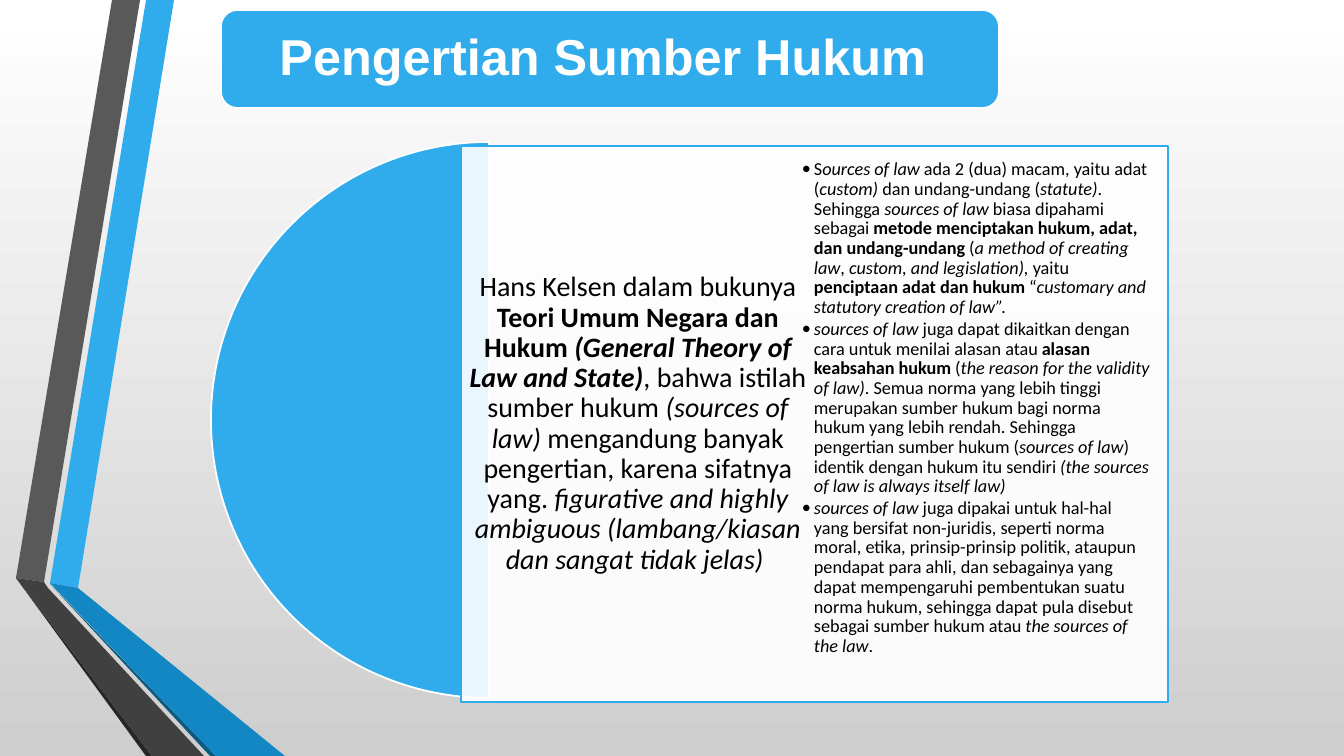
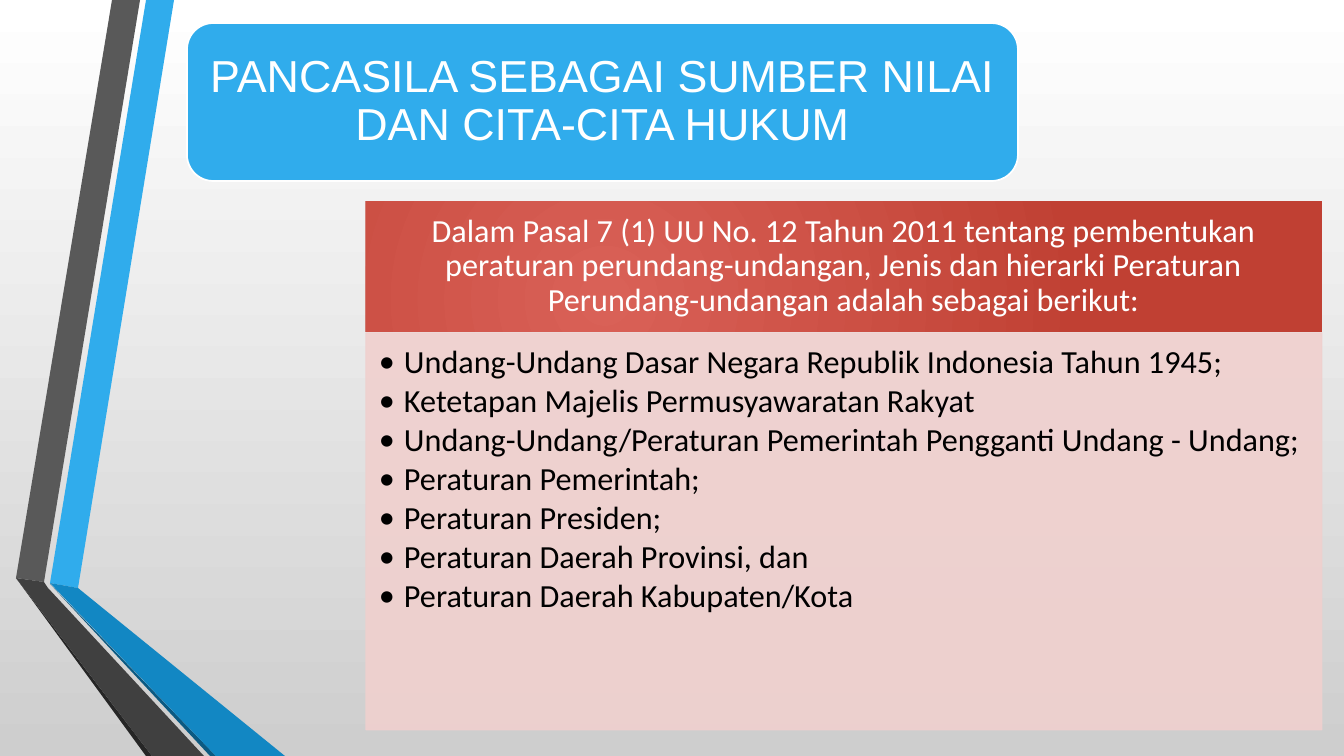
from lxml import etree
from pptx import Presentation
from pptx.dml.color import RGBColor
from pptx.enum.shapes import MSO_SHAPE
from pptx.enum.text import MSO_ANCHOR, PP_ALIGN
from pptx.oxml.ns import qn
from pptx.util import Pt

WIDTH, HEIGHT = 1344, 756
SCALE = 12192000 / WIDTH

WHITE = RGBColor(0xFF, 0xFF, 0xFF)
BLACK = RGBColor(0x00, 0x00, 0x00)
SILVER = RGBColor(0xCE, 0xCE, 0xCE)
BLUE = RGBColor(0x30, 0xAC, 0xEC)
DEEP_BLUE = RGBColor(0x12, 0x87, 0xC3)
NAVY = RGBColor(0x0C, 0x5A, 0x82)
GRAY = RGBColor(0x59, 0x59, 0x59)
DARK_GRAY = RGBColor(0x40, 0x40, 0x40)
CHARCOAL = RGBColor(0x26, 0x26, 0x26)
LIGHT_RED = RGBColor(0xD9, 0x61, 0x57)
RED = RGBColor(0xC0, 0x40, 0x33)
PINK = RGBColor(0xF0, 0xD0, 0xCE)

RECTANGLE = MSO_SHAPE.RECTANGLE
ROUNDED = MSO_SHAPE.ROUNDED_RECTANGLE
PIE = MSO_SHAPE.PIE
CENTER, LEFT = PP_ALIGN.CENTER, PP_ALIGN.LEFT
TOP, MIDDLE = MSO_ANCHOR.TOP, MSO_ANCHOR.MIDDLE

TITLE_FONT, BODY_FONT = "Arial", "Calibri"

RIBBONS = [
    (BLUE, [(50, 583), (78, 588), (174, 0), (146, 0)]),
    (GRAY, [(140, 0), (112, 0), (16, 578), (44, 582)]),
    (CHARCOAL, [(16, 578), (146, 756), (152, 756)]),
    (NAVY, [(50, 584), (210, 756), (216, 756)]),
    (DEEP_BLUE, [(50, 583), (216, 756), (285, 756), (78, 588)]),
    (DARK_GRAY, [(204, 756), (48, 588), (44, 582), (16, 578), (152, 756)]),
]

# A paragraph is a list of (text, style) runs; style holds "b" and/or "i".
KELSEN = [
    ("Hans Kelsen dalam bukunya ", ""),
    ("Teori Umum Negara dan Hukum ", "b"),
    ("(General Theory of Law and State)", "bi"),
    (", bahwa istilah sumber hukum ", ""),
    ("(sources of law)", "i"),
    (" mengandung banyak pengertian, karena sifatnya yang.", ""),
    (" figurative and highly ambiguous (lambang/kiasan dan sangat tidak jelas) ", "i"),
]
MEANINGS = [
    [
        ("S", ""),
        ("ources of law ", "i"),
        ("ada 2 (dua) macam, yaitu adat (", ""),
        ("custom)", "i"),
        (" dan undang-undang (", ""),
        ("statute)", "i"),
        (". Sehingga ", ""),
        ("sources of law ", "i"),
        ("biasa dipahami sebagai ", ""),
        ("metode menciptakan hukum, adat, dan undang-undang", "b"),
        (" (", ""),
        ("a method of creating law", "i"),
        (", ", ""),
        ("custom, and legislation),", "i"),
        (" yaitu ", ""),
        ("penciptaan adat dan hukum", "b"),
        (" “", ""),
        ("customary and statutory creation of law”.", "i"),
    ],
    [
        ("sources of law", "i"),
        (" juga dapat dikaitkan dengan cara untuk menilai alasan atau ", ""),
        ("alasan keabsahan hukum", "b"),
        (" (", ""),
        ("the reason for the validity of law)", "i"),
        (". Semua norma yang lebih tinggi merupakan sumber hukum bagi norma "
         "hukum yang lebih rendah. Sehingga pengertian sumber hukum (", ""),
        ("sources of law", "i"),
        (") identik dengan hukum itu sendiri ", ""),
        ("(the sources of law is always itself law)", "i"),
    ],
    [
        ("sources of law", "i"),
        (" juga dipakai untuk hal-hal yang bersifat non-juridis, seperti norma "
         "moral, etika, prinsip-prinsip politik, ataupun pendapat para ahli, dan "
         "sebagainya yang dapat mempengaruhi pembentukan suatu norma hukum, "
         "sehingga dapat pula disebut sebagai sumber hukum atau ", ""),
        ("the sources of the law", "i"),
        (".", ""),
    ],
]
HIERARCHY_INTRO = (
    "Dalam Pasal 7 (1) UU No. 12 Tahun 2011 tentang pembentukan peraturan "
    "perundang-undangan, Jenis dan hierarki Peraturan Perundang-undangan "
    "adalah sebagai berikut:"
)
HIERARCHY = [
    "Undang-Undang Dasar Negara Republik Indonesia Tahun 1945;",
    "Ketetapan Majelis Permusyawaratan Rakyat",
    "Undang-Undang/Peraturan Pemerintah Pengganti Undang - Undang;",
    "Peraturan Pemerintah;",
    "Peraturan Presiden;",
    "Peraturan Daerah Provinsi, dan",
    "Peraturan Daerah Kabupaten/Kota",
]


def px(value):
    return round(value * SCALE)


def add_box(slide, preset, box, fill, line=None, line_width=1.25):
    shape = slide.shapes.add_shape(preset, *map(px, box))
    shape.shadow.inherit = False
    shape.fill.solid()
    shape.fill.fore_color.rgb = fill
    if line is None:
        shape.line.fill.background()
    else:
        shape.line.color.rgb = line
        shape.line.width = Pt(line_width)
    return shape


def make_translucent(element, percent=90):
    """Give every colour inside the XML element the same opacity."""
    for color in element.iter(qn("a:srgbClr")):
        etree.SubElement(color, qn("a:alpha"), val=str(percent * 1000))


def set_gradient(fill, start, end):
    fill.gradient()
    for stop, color in zip(fill.gradient_stops, (start, end)):
        stop.color.rgb = color


def make_radial(shape):
    """Turn the linear gradient into a circular one, centred low."""
    gradient = shape._element.spPr.find(qn("a:gradFill"))
    gradient.remove(gradient.find(qn("a:lin")))
    circle = etree.SubElement(gradient, qn("a:path"), path="circle")
    etree.SubElement(circle, qn("a:fillToRect"),
                     l="50000", t="100000", r="100000", b="50000")


def write(shape, paragraphs, size, color=BLACK, font=BODY_FONT, align=CENTER,
          anchor=MIDDLE, margins=(8, 8, 8, 8), hanging=0, space_after=0):
    """Fill a shape with paragraphs; a hanging indent in px adds bullets."""
    frame = shape.text_frame
    frame.word_wrap = True
    frame.vertical_anchor = anchor
    (frame.margin_left, frame.margin_top,
     frame.margin_right, frame.margin_bottom) = map(px, margins)
    for index, runs in enumerate(paragraphs):
        paragraph = frame.add_paragraph() if index else frame.paragraphs[0]
        if hanging:
            properties = paragraph._p.get_or_add_pPr()
            properties.set("marL", str(px(hanging)))
            properties.set("indent", str(-px(hanging)))
            bullet_font = etree.SubElement(properties, qn("a:buFont"))
            bullet_font.set("typeface", font)
            etree.SubElement(properties, qn("a:buChar"), char="•")
        paragraph.alignment = align
        paragraph.line_spacing = 0.9
        paragraph.space_after = Pt(space_after)
        for text, style in runs:
            run = paragraph.add_run()
            run.text = text
            run.font.name = font
            run.font.size = Pt(size)
            run.font.color.rgb = color
            run.font.bold = "b" in style
            run.font.italic = "i" in style


def add_slide(presentation, title, title_box, title_size, title_style=""):
    """Add a slide with the shared background, ribbons and title banner."""
    slide = presentation.slides.add_slide(presentation.slide_layouts[6])
    background = slide.background.fill
    set_gradient(background, WHITE, SILVER)
    background.gradient_angle = 270
    for color, points in RIBBONS:
        builder = slide.shapes.build_freeform(*points[0], scale=SCALE)
        builder.add_line_segments(points[1:], close=True)
        ribbon = builder.convert_to_shape()
        ribbon.shadow.inherit = False
        ribbon.fill.solid()
        ribbon.fill.fore_color.rgb = color
        ribbon.line.fill.background()
    banner = add_box(slide, ROUNDED, title_box, BLUE, WHITE)
    write(banner, [[(title, title_style)]], title_size, WHITE, TITLE_FONT)
    return slide


def add_definition_slide(presentation):
    slide = add_slide(presentation, "Pengertian Sumber Hukum ",
                      (221, 10, 778, 98), 36, "b")
    half_disc = add_box(slide, PIE, (211, 142, 556, 556), BLUE, WHITE)
    half_disc.adjustments[0] = 54
    half_disc.adjustments[1] = 162
    panel = add_box(slide, RECTANGLE, (461, 146, 707, 556), WHITE, BLUE)
    make_translucent(panel._element.spPr.find(qn("a:solidFill")))
    kelsen = slide.shapes.add_textbox(*map(px, (461, 146, 354, 556)))
    write(kelsen, [KELSEN], 20)
    meanings = slide.shapes.add_textbox(*map(px, (797, 155, 358, 530)))
    write(meanings, MEANINGS, 13, align=LEFT, anchor=TOP,
          margins=(5, 5, 5, 5), hanging=12, space_after=1.5)


def add_hierarchy_slide(presentation):
    slide = add_slide(presentation,
                      "PANCASILA SEBAGAI SUMBER NILAI DAN CITA-CITA HUKUM",
                      (187, 23, 831, 158), 32)
    left, width = 366, 956
    header = add_box(slide, RECTANGLE, (left, 201, width, 131), RED)
    set_gradient(header.fill, LIGHT_RED, RED)
    make_radial(header)
    write(header, [[(HIERARCHY_INTRO, "")]], 23, WHITE,
          margins=(18, 10, 18, 10))
    body = add_box(slide, RECTANGLE, (left, 333, width, 397), PINK, PINK, 0.75)
    make_translucent(body._element.spPr)
    write(body, [[(item, "")] for item in HIERARCHY], 23, align=LEFT,
          anchor=TOP, margins=(13, 13, 18, 20), hanging=25, space_after=3)


def main():
    presentation = Presentation()
    presentation.slide_width = px(WIDTH)
    presentation.slide_height = px(HEIGHT)
    add_definition_slide(presentation)
    add_hierarchy_slide(presentation)
    presentation.save("out.pptx")


if __name__ == "__main__":
    main()
